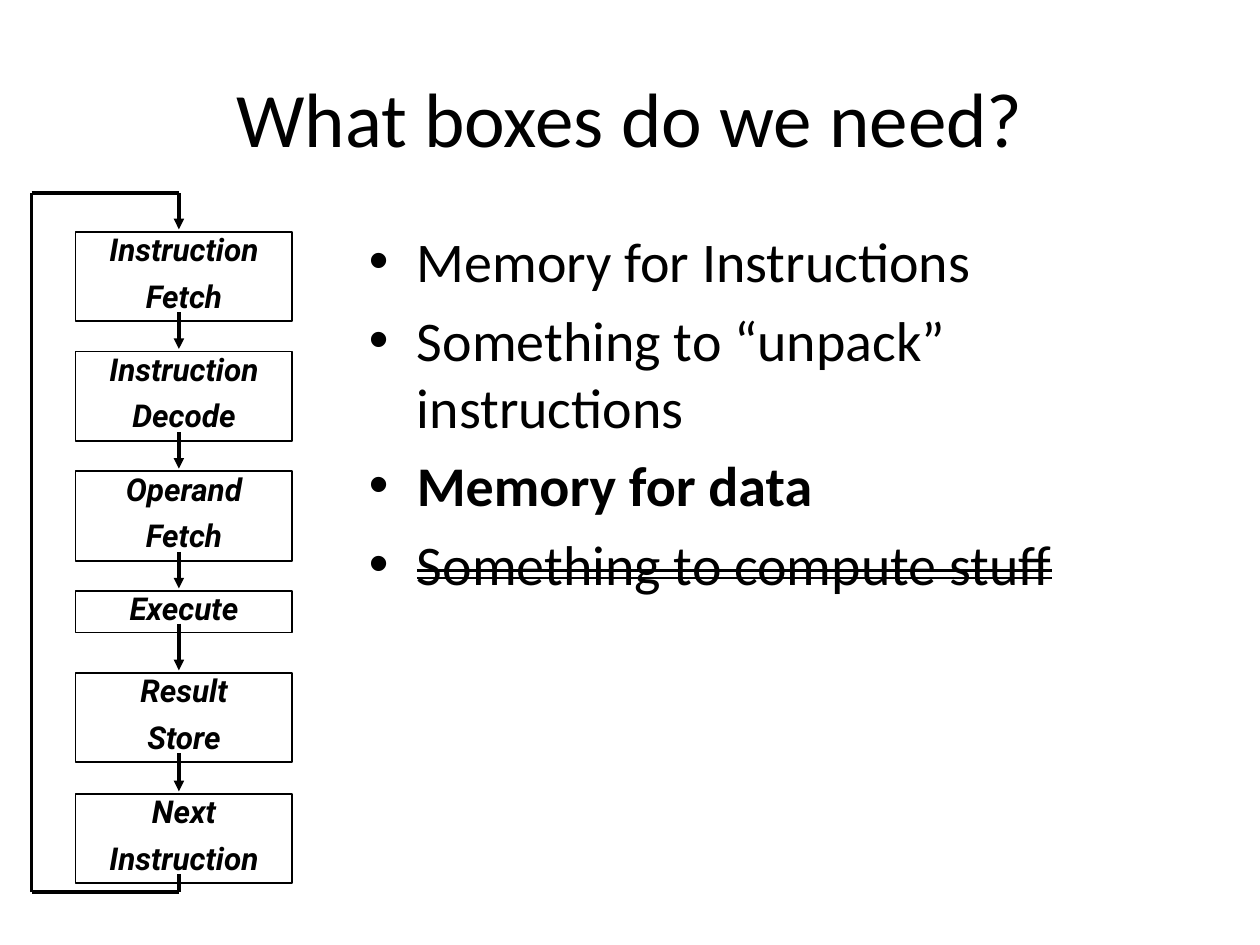
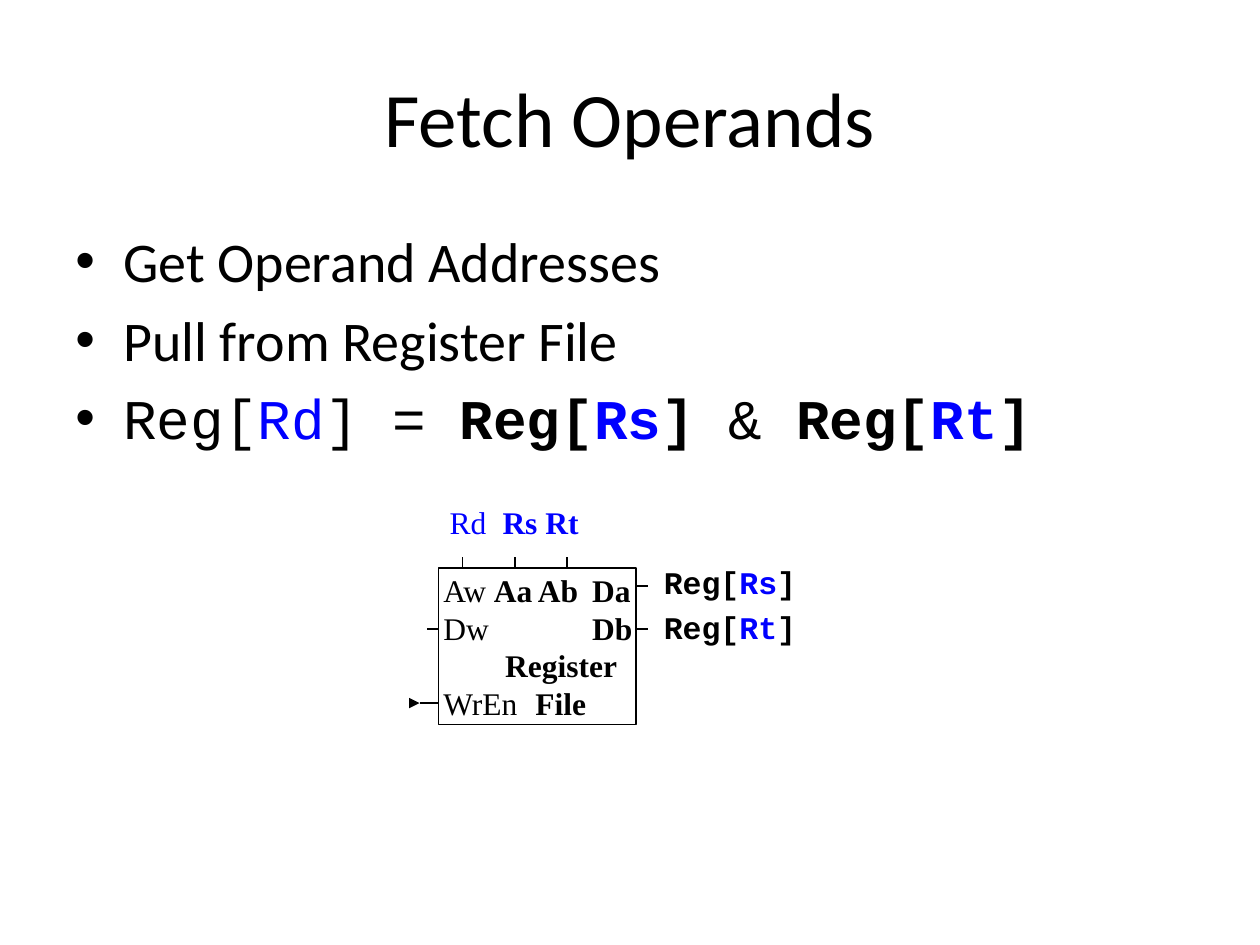
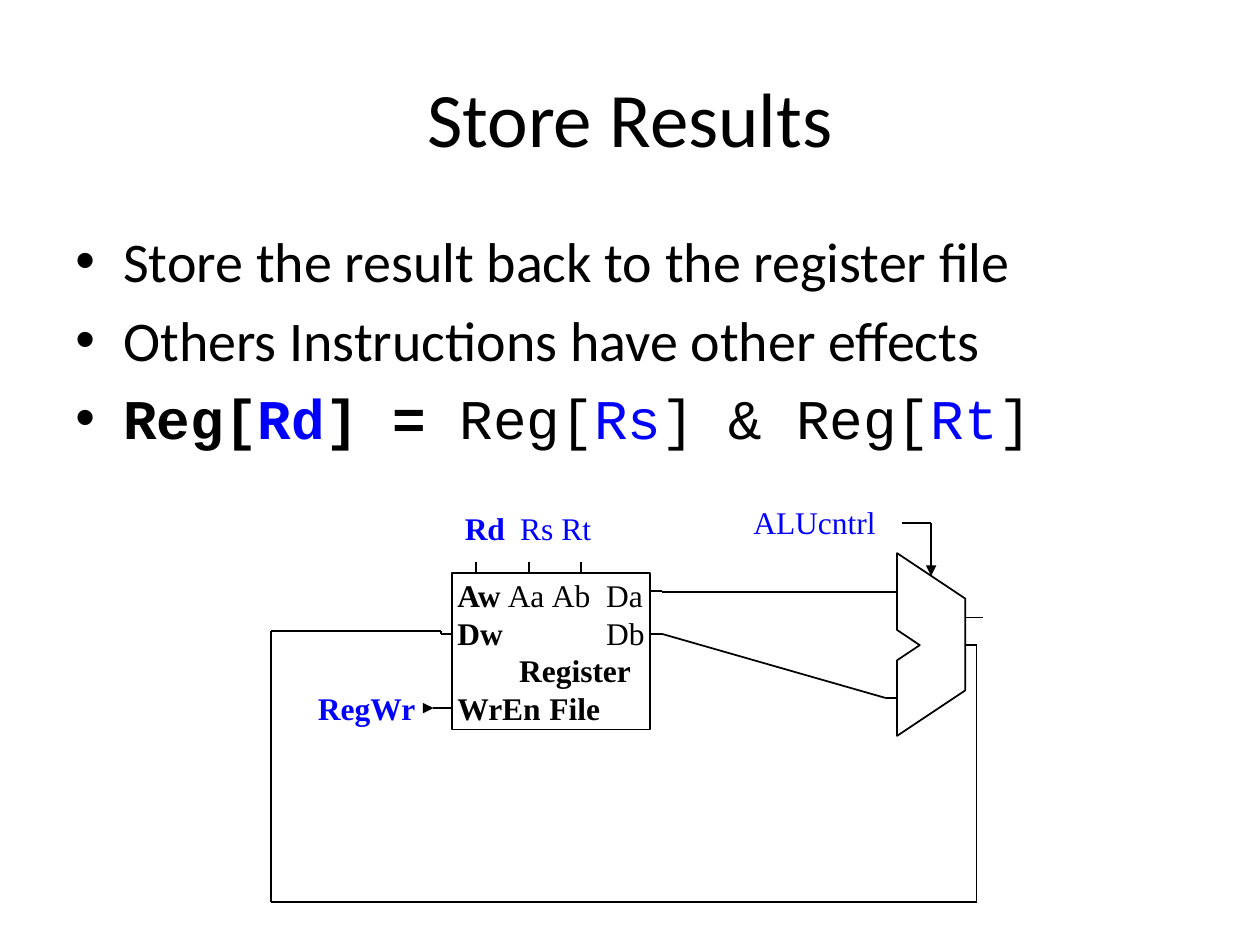
from lxml import etree
from pptx import Presentation
from pptx import util as u
from pptx.dml.color import RGBColor
from pptx.enum import shapes, text
from pptx.oxml import ns

# Shared look
BLACK = RGBColor(0x00, 0x00, 0x00)
WHITE = RGBColor(0xFF, 0xFF, 0xFF)
BLUE = RGBColor(0x00, 0x00, 0xFF)
HEADING_FONT = "Calibri"
CODE_FONT = "Courier New"
STAGE_FONT = "Roboto"
DIAGRAM_FONT = "Times New Roman"
CENTER = text.PP_ALIGN.CENTER
LEFT = text.PP_ALIGN.LEFT
BOLD = {"bold": True}
STRIKE = {"strike": True}
INSET = (0.1, 0.05, 0.1, 0.05)

# Register file geometry, measured from its top left corner
REGISTER_WIDTH, REGISTER_HEIGHT, STUB = 1.57, 1.24, 0.09
ADDRESS_X = (0.19, 0.61, 1.02)
DATA_Y = (0.14, 0.48)
ENABLE_Y = 1.07
REGISTER_TABS = ((0.4, 0.75, 1.18), (1.18,), (0.49,), (0.73,))


def add_child(parent, tag, **attributes):
    return etree.SubElement(parent, ns.qn(tag), **attributes)


def format_run(run, font=HEADING_FONT, size=18, color=BLACK, bold=False,
               italic=False, strike=False):
    run.font.name, run.font.size = font, u.Pt(size)
    run.font.bold, run.font.italic = bold, italic
    run.font.color.rgb = color
    if strike:
        run.font._element.set("strike", "dblStrike")


def write_text(shape, paragraphs, align=LEFT, anchor=text.MSO_ANCHOR.TOP, wrap=True,
               inset=INSET, before=0, spacing=None, bullet=False, tabs=(), **font):
    """Each paragraph is a list of (text, format changes) runs; tabs go by paragraph."""
    frame = shape.text_frame
    frame.word_wrap, frame.vertical_anchor = wrap, anchor
    (frame.margin_left, frame.margin_top,
     frame.margin_right, frame.margin_bottom) = map(u.Inches, inset)
    for index, runs in enumerate(paragraphs):
        paragraph = frame.add_paragraph() if index else frame.paragraphs[0]
        paragraph.alignment = align
        properties = paragraph._p.get_or_add_pPr()
        if bullet:
            properties.set("marL", str(u.Inches(0.38)))
            properties.set("indent", str(u.Inches(-0.38)))
            add_child(properties, "a:buFont", typeface="Arial")
            add_child(properties, "a:buChar", char="•")
        if tabs:
            tab_list = add_child(properties, "a:tabLst")
            for stop in tabs[index]:
                add_child(tab_list, "a:tab", pos=str(u.Inches(stop)), algn="l")
        if index and before:
            paragraph.space_before = u.Pt(before)
        if spacing:
            paragraph.line_spacing = spacing
        for words, changes in runs:
            run = paragraph.add_run()
            run.text = words
            format_run(run, **{**font, **changes})


def add_text(slide, left, top, width, height, paragraphs, **style):
    box = slide.shapes.add_textbox(*map(u.Inches, (left, top, width, height)))
    write_text(box, paragraphs, **style)


def add_title(slide, words):
    add_text(slide, 0.5, 0.3, 9, 1.25, [[(words, {})]], size=44, align=CENTER,
             anchor=text.MSO_ANCHOR.MIDDLE)


def add_bullets(slide, left, width, height, paragraphs):
    add_text(slide, left, 1.75, width, height, paragraphs, size=32, bullet=True, before=6.4)


def add_label(slide, left, top, width, runs, **style):
    style = {"font": DIAGRAM_FONT, "color": BLUE, "wrap": False, **style}
    add_text(slide, left, top, width, 0.4, [runs], **style)


def style_shape(shape, fill=None):
    shape.shadow.inherit = False
    if fill is None:
        shape.fill.background()
    else:
        shape.fill.solid()
        shape.fill.fore_color.rgb = fill
    shape.line.color.rgb = BLACK
    shape.line.width = u.Pt(1)


def add_box(slide, left, top, width, height, fill=None):
    box = slide.shapes.add_shape(shapes.MSO_SHAPE.RECTANGLE,
                                 *map(u.Inches, (left, top, width, height)))
    style_shape(box, fill)
    return box


def add_wire(slide, *points, weight=1, arrow=False):
    """Join the points with straight lines; the arrowhead sits at the last one."""
    for start, end in zip(points, points[1:]):
        line = slide.shapes.add_connector(shapes.MSO_CONNECTOR.STRAIGHT,
                                          *map(u.Inches, (*start, *end)))
        line.line.color.rgb = BLACK
        line.line.width = u.Pt(weight)
        if arrow and end == points[-1]:
            add_child(line.line._get_or_add_ln(), "a:tailEnd", type="triangle")
        add_child(line._element.spPr, "a:effectLst")


def register(name, **style):
    style = {"font": CODE_FONT, **style}
    return [("Reg[", style), (name, {**style, "color": BLUE}), ("]", style)]


def code(words, **style):
    return [(words, {"font": CODE_FONT, **style})]


def add_register_file(slide, left, top, rows, lead):
    box = add_box(slide, left, top, REGISTER_WIDTH, REGISTER_HEIGHT, WHITE)
    write_text(box, rows, font=DIAGRAM_FONT, anchor=text.MSO_ANCHOR.MIDDLE,
               inset=(0.04, 0, 0, 0), tabs=REGISTER_TABS)
    right = left + REGISTER_WIDTH
    for x in ADDRESS_X:
        add_wire(slide, (left + x, top), (left + x, top - STUB))
    for y in DATA_Y:
        add_wire(slide, (right, top + y), (right + STUB, top + y))
    add_wire(slide, (left - STUB, top + DATA_Y[1]), (left, top + DATA_Y[1]))
    # Write enable
    enable, joint = top + ENABLE_Y, left - 0.15
    add_wire(slide, (joint, enable), (left, enable))
    add_wire(slide, (left - lead, enable), (joint, enable), arrow=True)


def add_alu(slide):
    left, right = 7.12, 7.66
    outline = [(left, 4.39), (right, 4.75), (right, 5.48), (left, 5.84),
               (left, 5.24), (7.3, 5.12), (left, 5)]
    points = [(u.Inches(x), u.Inches(y)) for x, y in outline]
    builder = slide.shapes.build_freeform(*points[0])
    builder.add_line_segments(points[1:], close=True)
    style_shape(builder.convert_to_shape(), WHITE)
    for y in (4.7, 5.54):
        add_wire(slide, (left - STUB, y), (left, y))
    add_wire(slide, (right, 5.12), (right + STUB, 5.12))
    add_wire(slide, (right, 4.9), (7.8, 4.9))


def add_stages(slide):
    stages = [(1.84, "Instruction", "Fetch"), (2.79, "Instruction", "Decode"),
              (3.74, "Operand", "Fetch"), (4.69, "Execute"),
              (5.34, "Result", "Store"), (6.3, "Next", "Instruction")]
    axis, loop_left, loop_top, loop_bottom = 1.42, 0.25, 1.53, 7.08
    bottoms = []
    for top, *lines in stages:
        height = 0.71 if len(lines) == 2 else 0.33
        box = add_box(slide, 0.6, top, 1.72, height)
        write_text(box, [[(line, {})] for line in lines], font=STAGE_FONT, bold=True,
                   italic=True, align=CENTER, inset=(0.07, 0.03, 0.07, 0.03),
                   spacing=0.86, before=8)
        bottoms.append(top + height - 0.07)
    for bottom, (top, *_) in zip(bottoms, stages[1:]):
        add_wire(slide, (axis, bottom), (axis, top - 0.02), weight=2, arrow=True)
    # Loop back to the first stage
    add_wire(slide, (axis, bottoms[-1]), (axis, loop_bottom), (loop_left, loop_bottom),
             (loop_left, loop_top), (axis, loop_top), (axis, stages[0][0] - 0.02),
             weight=2, arrow=True)


def build_boxes_slide(slide):
    add_title(slide, "What boxes do we need?")
    add_bullets(slide, 2.83, 6.67, 4.95, [
        [("Memory for Instructions", {})],
        [("Something to “unpack” instructions", {})],
        [("Memory for data", BOLD)],
        [("Something to compute stuff", STRIKE)]])
    add_stages(slide)


def build_fetch_slide(slide):
    add_title(slide, "Fetch Operands")
    add_bullets(slide, 0.5, 9, 2.17, [
        [("Get Operand Addresses", {})],
        [("Pull from Register File", {})],
        register("Rd") + code(" = ") + register("Rs", bold=True) + code(" & ")
        + register("Rt", bold=True)])
    add_register_file(slide, 3.48, 4.51, [
        [("Aw\t", {}), ("Aa\tAb\tDa", BOLD)],
        [("Dw\t", {}), ("Db", BOLD)],
        [("\tRegister", BOLD)],
        [("WrEn\t", {}), ("File", BOLD)]], lead=0.22)
    add_label(slide, 3.47, 3.94, 1.23, [("Rd\t", {}), ("Rs Rt", BOLD)], tabs=[[0.42]])
    for top, name in ((4.42, "Rs"), (4.78, "Rt")):
        add_label(slide, 5.17, top, 1.26, register(name, bold=True), color=BLACK)


def build_store_slide(slide):
    add_title(slide, "Store Results")
    add_bullets(slide, 0.5, 9.33, 2.19, [
        [("Store the result back to the register file", {})],
        [("Others Instructions have other effects", {})],
        register("Rd", bold=True) + code(" = ", bold=True) + register("Rs")
        + code(" & ") + register("Rt")])
    add_alu(slide)
    add_register_file(slide, 3.59, 4.55, [
        [("Aw\t", BOLD), ("Aa\tAb\tDa", {})],
        [("Dw\t", BOLD), ("Db", {})],
        [("\tRegister", BOLD)],
        [("WrEn\tFile", BOLD)]], lead=0.2)
    add_label(slide, 3.59, 3.99, 1.22, [("Rd\t", BOLD), ("Rs Rt", {})], tabs=[[0.44]])
    add_label(slide, 5.88, 3.94, 1.17, [("ALUcntrl", {})], align=CENTER)
    add_label(slide, 2.42, 5.42, 0.98, [("RegWr", BOLD)], align=CENTER)
    # Control, operands and the result going back
    add_wire(slide, (7.16, 4.15), (7.39, 4.15), (7.39, 4.57), arrow=True)
    add_wire(slide, (5.25, 4.7), (7.03, 4.7))
    add_wire(slide, (5.25, 5.03), (7.03, 5.54))
    add_wire(slide, (7.75, 5.12), (7.75, 7.16), (2.15, 7.16), (2.15, 5.01),
             (3.5, 5.01), (3.5, 5.03))


def main():
    presentation = Presentation()
    presentation.slide_width = u.Inches(10)
    presentation.slide_height = u.Inches(7.5)
    blank = presentation.slide_layouts[6]
    for build in (build_boxes_slide, build_fetch_slide, build_store_slide):
        build(presentation.slides.add_slide(blank))
    presentation.save("out.pptx")


if __name__ == "__main__":
    main()
